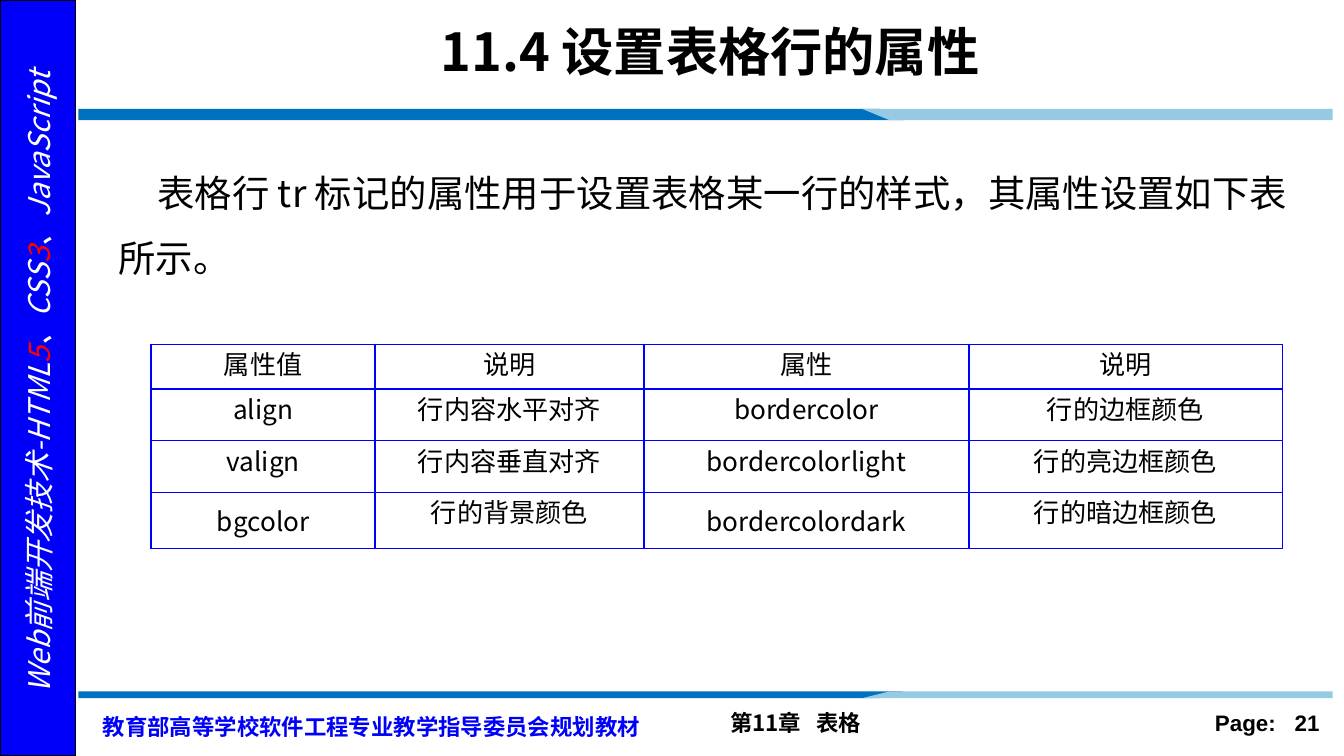
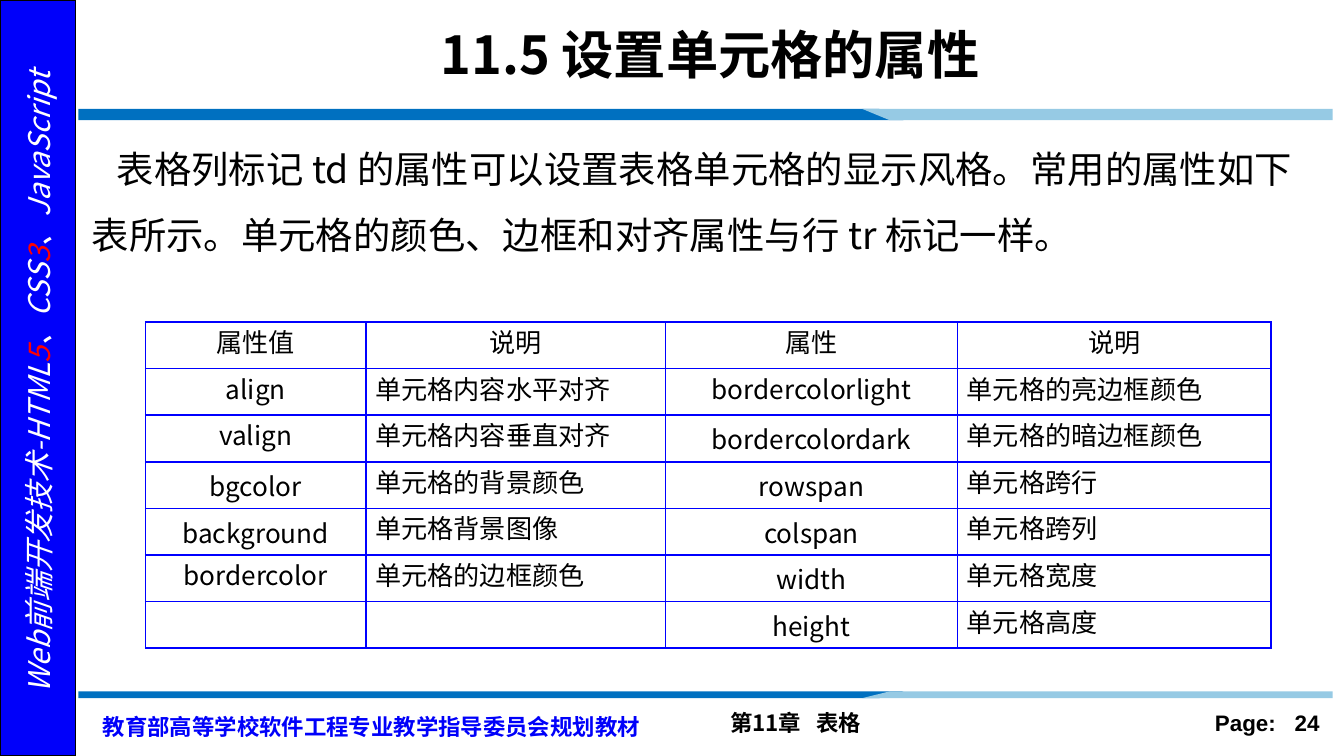
from lxml import etree
from pptx import Presentation
from pptx.dml.color import RGBColor
from pptx.enum.shapes import MSO_SHAPE as Preset
from pptx.enum.text import MSO_ANCHOR as Anchor, PP_ALIGN as Align
from pptx.oxml.ns import qn
from pptx.util import Pt

BLACK = RGBColor(0, 0, 0)
WHITE = RGBColor(0xFF, 0xFF, 0xFF)
RED = RGBColor(0xFF, 0, 0)
SIDEBAR_BLUE = RGBColor(0, 0, 0xFA)
GRID_BLUE = RGBColor(0, 0, 0xFF)
BAND_DARK = RGBColor(0, 0x70, 0xC0)
BAND_LIGHT = RGBColor(0x96, 0xCA, 0xE4)
CJK, LATIN = "Noto Sans CJK SC", "Arial"

HEADERS = ["属性值", "说明", "属性", "说明"]
SLIDES = [
    dict(
        title="11.4 设置表格行的属性 ", title_top=4.5, page="21",
        intro="表格行 tr 标记的属性用于设置表格某一行的样式，其属性设置如下表所示。",
        intro_box=(42, 76.5, 672, 66), hanging=14.4, first_line=20.8,
        table_at=(81, 184.5), columns=[120, 144, 174, 168],
        row_heights=[24, 27.6, 27.8, 30], note_align=Align.CENTER,
        middle={(3, 0), (3, 2)},
        rows=[
            HEADERS,
            ["align", "行内容水平对齐", "bordercolor", "行的边框颜色"],
            ["valign", "行内容垂直对齐", "bordercolorlight", "行的亮边框颜色"],
            ["bgcolor", "行的背景颜色", "bordercolordark", "行的暗边框颜色"],
        ],
    ),
    dict(
        title="11.5 设置单元格的属性 ", title_top=6, page="24",
        intro="表格列标记 td 的属性可以设置表格单元格的显示风格。常用的属性如下表所示。"
              "单元格的颜色、边框和对齐属性与行 tr 标记一样。",
        intro_box=(42, 64, 672, 78.5), hanging=0, first_line=13.4,
        table_at=(78, 172.5), columns=[118, 160.5, 156.5, 168],
        row_heights=[25] * 7, note_align=Align.JUSTIFY,
        middle={(3, 0), (4, 0)} | {(row, 2) for row in range(2, 7)},
        rows=[
            HEADERS,
            ["align", "单元格内容水平对齐", "bordercolorlight", "单元格的亮边框颜色"],
            ["valign", "单元格内容垂直对齐", "bordercolordark", "单元格的暗边框颜色"],
            ["bgcolor", "单元格的背景颜色", "rowspan", "单元格跨行"],
            ["background", "单元格背景图像", "colspan", "单元格跨列"],
            ["bordercolor", "单元格的边框颜色", "width", "单元格宽度"],
            ["", "", "height", "单元格高度"],
        ],
    ),
]


def write(paragraph, text, size=12, color=BLACK, font=CJK, bold=False,
          italic=False, align=None, tracking=0):
    """Add one formatted run to the paragraph."""
    run = paragraph.add_run()
    run.text = text
    run.font.size = Pt(size)
    run.font.bold = bold
    run.font.italic = italic
    run.font.color.rgb = color
    run.font.name = font
    properties = run.font._element
    etree.SubElement(properties, qn("a:ea")).set("typeface", font)
    if tracking:
        properties.set("spc", str(int(tracking * 100)))
    if align is not None:
        paragraph.alignment = align


def add_text_box(slide, box, wrap=True):
    holder = slide.shapes.add_textbox(*map(Pt, box))
    holder.text_frame.word_wrap = wrap
    return holder, holder.text_frame.paragraphs[0]


def style_shape(shape, fill):
    shape.shadow.inherit = False
    shape.fill.solid()
    shape.fill.fore_color.rgb = fill


# Two-tone divider; the slanted joint runs from the long to the short edge
def add_band(slide, left, right, start_y, end_y):
    pieces = [
        (BAND_DARK, left, left + 429, left + 442, left),
        (BAND_LIGHT, left + 420, right, right, left + 434.6),
    ]
    for color, start_left, start_right, end_right, end_left in pieces:
        outline = slide.shapes.build_freeform(Pt(start_left), Pt(start_y), scale=1.0)
        outline.add_line_segments([
            (Pt(start_right), Pt(start_y)),
            (Pt(end_right), Pt(end_y)),
            (Pt(end_left), Pt(end_y)),
        ], close=True)
        piece = outline.convert_to_shape()
        style_shape(piece, color)
        piece.line.fill.background()


# Blue strip on the left with the course name
def add_sidebar(slide, width, height):
    strip = slide.shapes.add_shape(Preset.RECTANGLE, 0, 0, Pt(width), Pt(height))
    style_shape(strip, SIDEBAR_BLUE)
    strip.line.color.rgb = BLACK
    strip.line.width = Pt(1)

    length, thickness = 374, 26.6
    center_x, center_y = width / 2 + 0.4, height / 2 + 2.4
    course, line = add_text_box(
        slide, (center_x - length / 2, center_y - thickness / 2, length, thickness),
        wrap=False)
    course.rotation = 270
    for text, color in [("Web前端开发技术-HTML", WHITE), ("5", RED), ("、CSS", WHITE),
                        ("3", RED), ("、JavaScript", WHITE)]:
        write(line, text, size=16, color=color, italic=True, align=Align.CENTER)


# Series, chapter and page number
def add_footer(slide, top, page):
    _, chapter = add_text_box(slide, (384, top, 237, 21.8))
    write(chapter, "第11章", bold=True)
    write(chapter, " ", bold=True, tracking=5.4)
    write(chapter, "表格", bold=True)

    _, number = add_text_box(slide, (624, top, 90, 21.8))
    write(number, "Page:", font=LATIN, bold=True, align=Align.RIGHT)
    write(number, " ", font=LATIN, bold=True, tracking=6.7)
    write(number, page, font=LATIN, bold=True)

    _, series = add_text_box(slide, (48, top, 312, 25))
    series.line_spacing = Pt(18)
    write(series, "教育部高等学校软件工程专业教学指导委员会规划教材",
          color=SIDEBAR_BLUE, bold=True)
    write(series, " ", size=20, color=SIDEBAR_BLUE, bold=True)


def add_title(slide, text, top):
    title = slide.shapes.title
    title.left, title.top, title.width, title.height = map(Pt, (78, top, 611, 45))
    frame = title.text_frame
    frame.word_wrap = True
    frame.vertical_anchor = Anchor.MIDDLE
    write(frame.paragraphs[0], text, size=28, bold=True, align=Align.CENTER)


def add_intro(slide, text, box, hanging, first_line):
    _, intro = add_text_box(slide, box)
    intro.line_spacing = Pt(35)
    properties = intro._p.get_or_add_pPr()
    properties.set("marL", str(Pt(hanging)))
    properties.set("indent", str(Pt(first_line)))
    # Spacing as a share of the text size
    for tag, percent in (("a:spcBef", 30), ("a:spcAft", 20)):
        spacing = etree.SubElement(properties, qn(tag))
        etree.SubElement(spacing, qn("a:spcPct")).set("val", str(percent * 1000))
    write(intro, text, size=20)


def draw_borders(cell):
    properties = cell._tc.get_or_add_tcPr()
    for index, side in enumerate(("a:lnL", "a:lnR", "a:lnT", "a:lnB")):
        border = etree.Element(qn(side), w=str(Pt(1)))
        fill = etree.SubElement(border, qn("a:solidFill"))
        etree.SubElement(fill, qn("a:srgbClr")).set("val", str(GRID_BLUE))
        properties.insert(index, border)


def add_attribute_table(slide, at, columns, row_heights, rows, note_align, middle):
    left, top = at
    table = slide.shapes.add_table(
        len(rows), len(columns), Pt(left), Pt(top),
        Pt(sum(columns)), Pt(sum(row_heights))).table
    table.first_row = table.horz_banding = False
    for column, width in zip(table.columns, columns):
        column.width = Pt(width)
    for r, (values, height) in enumerate(zip(rows, row_heights)):
        table.rows[r].height = Pt(height)
        for c, value in enumerate(values):
            cell = table.cell(r, c)
            cell.margin_left = cell.margin_right = Pt(5)
            cell.margin_top = cell.margin_bottom = 0
            cell.vertical_anchor = Anchor.MIDDLE if (r, c) in middle else Anchor.TOP
            cell.fill.background()
            draw_borders(cell)
            is_note = r > 0 and c % 2 == 1
            if value:
                write(cell.text_frame.paragraphs[0], value, size=14,
                      align=note_align if is_note else Align.CENTER)


def build_slide(deck, content):
    slide = deck.slides.add_slide(deck.slide_layouts[5])
    add_footer(slide, 376.5, content["page"])
    add_sidebar(slide, 40.5, 405)
    add_band(slide, 42, 714, 58.4, 64.4)
    add_band(slide, 42, 714, 374, 370.4)
    add_title(slide, content["title"], content["title_top"])
    add_intro(slide, content["intro"], content["intro_box"],
              content["hanging"], content["first_line"])
    add_attribute_table(slide, content["table_at"], content["columns"],
                        content["row_heights"], content["rows"],
                        content["note_align"], content["middle"])


def main():
    deck = Presentation()
    deck.slide_width, deck.slide_height = Pt(720), Pt(405)
    for content in SLIDES:
        build_slide(deck, content)
    deck.save("out.pptx")


if __name__ == "__main__":
    main()
